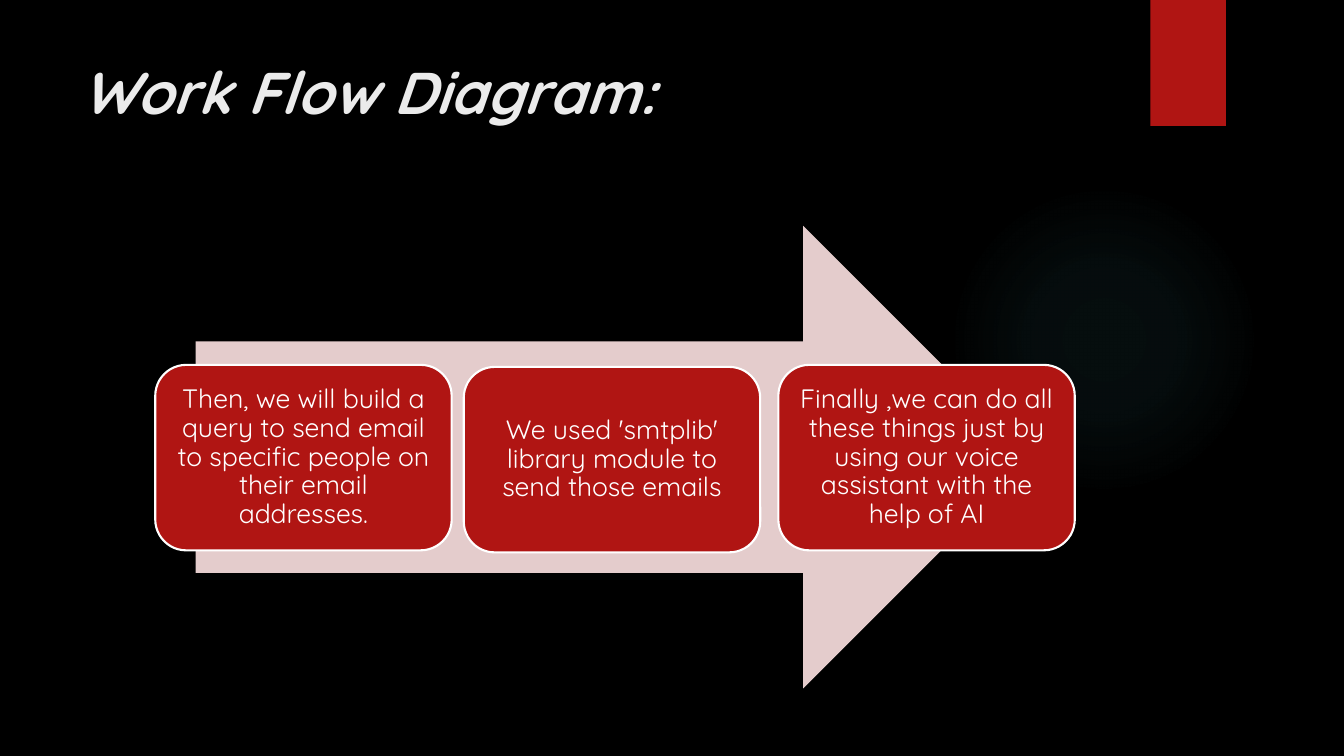
"""Builds a dark work flow slide with three steps on a broad arrow."""
from lxml import etree
from pptx import Presentation
from pptx.dml.color import RGBColor
from pptx.enum import shapes, text
from pptx.oxml import ns
from pptx.util import Inches, Pt

TITLE = "Work Flow Diagram:"
STEPS = [
    (1.54, 3.62, "Then, we will build a query to send email to specific people on their email addresses."),
    (4.6, 3.64, "We used 'smtplib' library module to send those emails"),
    (7.72, 3.62, "Finally ,we can do all these things just by using our voice assistant with the help of AI"),
]
STEP_SIZE = (2.94, 1.84)
GLOW_STOPS = [(0, 7), (36, 6), (69, 0)]
FONT = "Quicksand"
BLACK, WHITE, RED, PINK = "000000", "FFFFFF", "B01513", "E4CCCC"
TITLE_GREY, GLOW_TEAL = "EBEBEB", "50B9C1"
KIND = shapes.MSO_SHAPE


def paint(color_format, color):
    color_format.rgb = RGBColor.from_string(color)


def add_block(slide, kind, place, color):
    block = slide.shapes.add_shape(kind, *map(Inches, place))
    block.shadow.inherit = False
    block.fill.solid()
    paint(block.fill.fore_color, color)
    block.line.fill.background()
    return block


def style_text(frame, size, color, align, anchor):
    frame.word_wrap = True
    frame.auto_size = text.MSO_AUTO_SIZE.NONE
    frame.vertical_anchor = anchor
    paragraph = frame.paragraphs[0]
    paragraph.alignment = align
    font = paragraph.runs[0].font
    font.name, font.size = FONT, Pt(size)
    paint(font.color, color)
    return paragraph


def add_child(parent, tag, **attributes):
    return etree.SubElement(parent, ns.qn(tag), {k: str(v) for k, v in attributes.items()})


def add_glow(slide):
    glow = add_block(slide, KIND.OVAL, (9.41, 1.83, 3.08, 3.08), GLOW_TEAL)
    solid = glow._element.spPr.find(ns.qn("a:solidFill"))
    gradient = etree.Element(ns.qn("a:gradFill"), rotWithShape="1")
    stops = add_child(gradient, "a:gsLst")
    for position, opacity in GLOW_STOPS:
        stop = add_child(stops, "a:gs", pos=position * 1000)
        color = add_child(stop, "a:srgbClr", val=GLOW_TEAL)
        add_child(color, "a:alpha", val=opacity * 1000)
    circle = add_child(gradient, "a:path", path="circle")
    add_child(circle, "a:fillToRect", l=50000, t=50000, r=50000, b=50000)
    solid.getparent().replace(solid, gradient)


def add_title(slide):
    title = slide.shapes.title
    title.left, title.top, title.width, title.height = map(Inches, (0.71, 0.5, 10.29, 1.53))
    title.text_frame.text = TITLE
    heading = style_text(title.text_frame, 42, TITLE_GREY, text.PP_ALIGN.LEFT, text.MSO_ANCHOR.TOP)
    heading.runs[0].font.bold = heading.runs[0].font.italic = True


def add_step(slide, left, top, wording):
    step = add_block(slide, KIND.ROUNDED_RECTANGLE, (left, top, *STEP_SIZE), RED)
    paint(step.line.color, WHITE)
    step.line.width = Pt(1.5)
    frame = step.text_frame
    frame.text = wording
    frame.margin_left = frame.margin_right = frame.margin_top = frame.margin_bottom = Inches(0.08)
    paragraph = style_text(frame, 19, WHITE, text.PP_ALIGN.CENTER, text.MSO_ANCHOR.MIDDLE)
    paragraph.line_spacing = 0.9


def main():
    deck = Presentation()
    deck.slide_width, deck.slide_height = Inches(13.33), Inches(7.5)
    slide = deck.slides.add_slide(deck.slide_layouts[5])
    slide.background.fill.solid()
    paint(slide.background.fill.fore_color, BLACK)
    add_glow(slide)
    add_block(slide, KIND.RECTANGLE, (11.41, 0, 0.75, 1.25), RED)
    add_title(slide)
    add_block(slide, KIND.RIGHT_ARROW, (1.94, 2.24, 8.32, 4.59), PINK)
    for left, top, wording in STEPS:
        add_step(slide, left, top, wording)
    deck.save("out.pptx")


if __name__ == "__main__":
    main()
